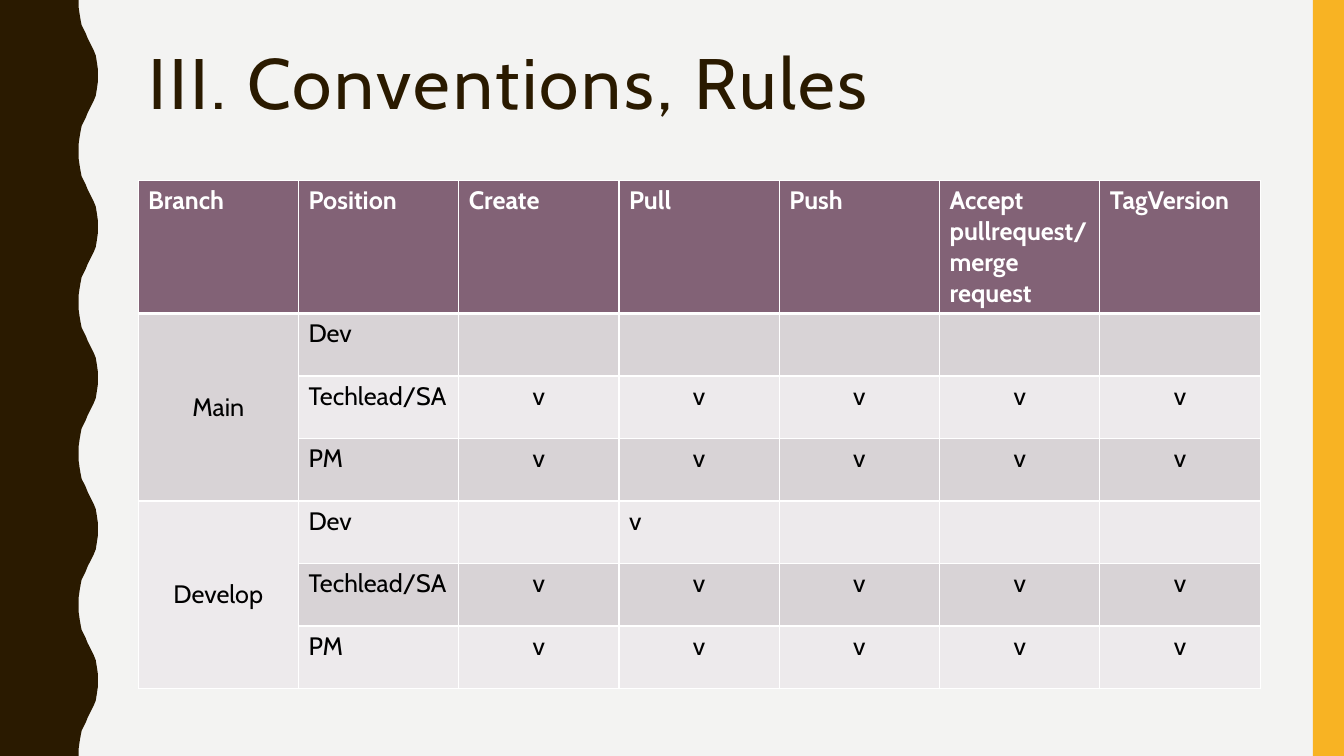
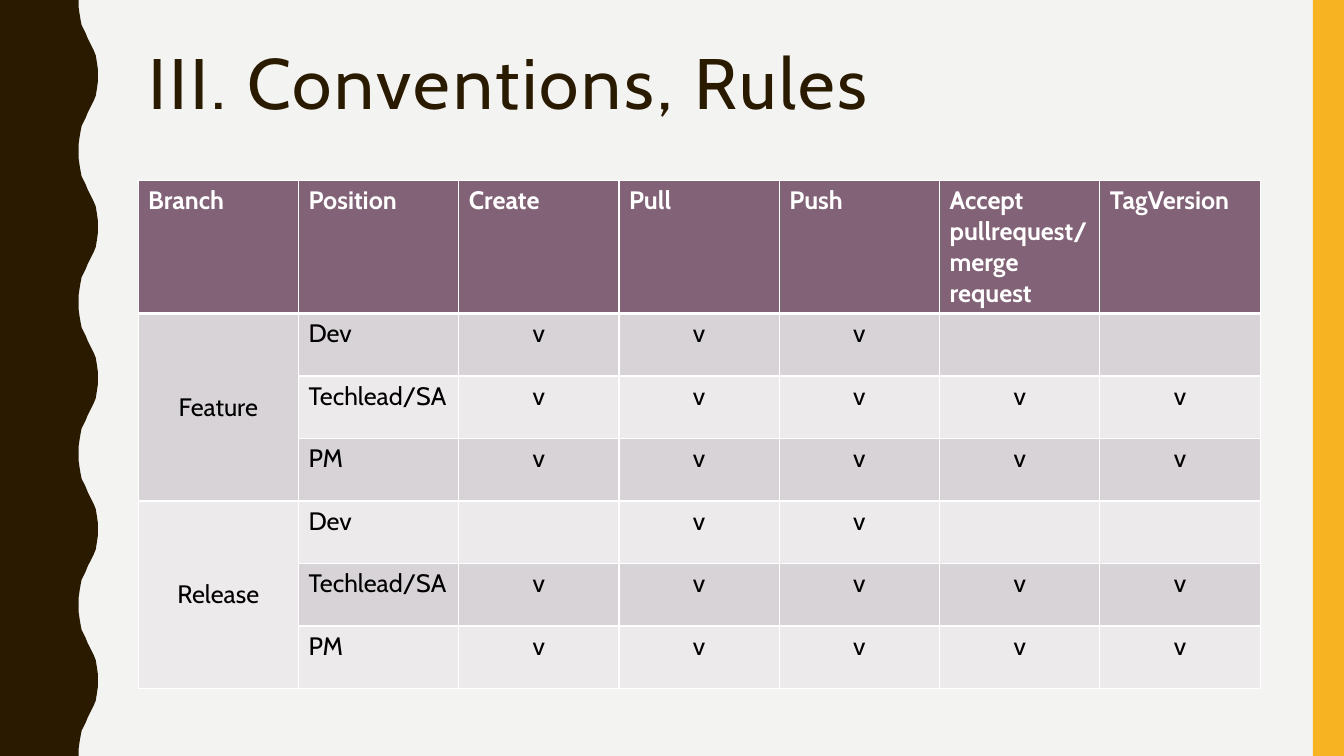
from lxml import etree
from pptx import Presentation, util as u
from pptx.dml.color import RGBColor
from pptx.enum import shapes, text
from pptx.oxml import ns

COLORS = {
    "background": "F3F3F2",
    "dark": "2A1A00",
    "accent": "F8B323",
    "header": "826276",
    "band_dark": "D8D3D6",
    "band_light": "EDEAEC",
    "white": "FFFFFF",
    "black": "000000",
}
FONT = "Cabin"
SLIDE_WIDTH, SLIDE_HEIGHT = 13.33, 7.5
CONTENT_LEFT, CONTENT_WIDTH = 1.37, 11.13
WAVE_PERIOD = 1.5
# Half a period of the wavy edge, from its trough to its crest.
HALF_WAVE = [
    (0.78, 0), (0.78, 0.07), (0.79, 0.14), (0.8, 0.2), (0.81, 0.25),
    (0.83, 0.29), (0.85, 0.33), (0.87, 0.38), (0.89, 0.42), (0.91, 0.46),
    (0.93, 0.5), (0.95, 0.55), (0.96, 0.61), (0.97, 0.68), (0.97, 0.75),
]

TITLE = "III. Conventions, Rules"
HEADERS = ["Branch", "Position", "Create", "Pull", "Push",
           "Accept pullrequest/merge request", "TagVersion"]
POSITIONS = ["Dev", "Techlead/SA", "PM"]
HEADER_HEIGHT, ROW_HEIGHT = 1.3, 0.62
# One string per position: "v" is a centred mark, "<" a left-aligned one.
SLIDES = [
    {"Main": ["-----", "vvvvv", "vvvvv"],
     "Develop": ["-<---", "vvvvv", "vvvvv"]},
    {"Feature": ["vvv--", "vvvvv", "vvvvv"],
     "Release": ["-vv--", "vvvvv", "vvvvv"]},
]


def rgb(name):
    return RGBColor.from_string(COLORS[name])


def write_text(text_frame, content, size=18, color="black", bold=False,
               align=text.PP_ALIGN.LEFT, line_spacing=None, spacing=None):
    """Fill a frame with one formatted run; spacing is tracking in points."""
    paragraph = text_frame.paragraphs[0]
    paragraph.alignment = align
    paragraph.line_spacing = line_spacing
    run = paragraph.add_run()
    run.text = content
    run.font.name = FONT
    run.font.size = u.Pt(size)
    run.font.bold = bold
    run.font.color.rgb = rgb(color)
    if spacing:
        run.font._element.set("spc", str(spacing * 100))


def paint(shape, color):
    shape.shadow.inherit = False
    shape.fill.solid()
    shape.fill.fore_color.rgb = rgb(color)
    shape.line.fill.background()


def add_wavy_band(slide):
    edge = []
    for wave in range(round(SLIDE_HEIGHT / WAVE_PERIOD)):
        top = wave * WAVE_PERIOD
        edge += [(x, top + y) for x, y in HALF_WAVE]
        edge += [(x, top + WAVE_PERIOD - y) for x, y in reversed(HALF_WAVE)]
    outline = edge + [(0, SLIDE_HEIGHT)]
    builder = slide.shapes.build_freeform(0, 0)
    builder.add_line_segments([(u.Inches(x), u.Inches(y)) for x, y in outline])
    band = builder.convert_to_shape()
    paint(band, "dark")
    return band


def add_side_bar(slide):
    width = 0.31
    bar = slide.shapes.add_shape(
        shapes.MSO_SHAPE.RECTANGLE, u.Inches(SLIDE_WIDTH - width), 0,
        u.Inches(width), u.Inches(SLIDE_HEIGHT))
    paint(bar, "accent")
    return bar


def style_layout(layout):
    layout.background.fill.solid()
    layout.background.fill.fore_color.rgb = rgb("background")
    for placeholder in list(layout.placeholders):
        if placeholder.placeholder_format.type == shapes.PP_PLACEHOLDER.TITLE:
            placeholder.left, placeholder.top = u.Inches(CONTENT_LEFT), u.Inches(0.42)
            placeholder.width, placeholder.height = u.Inches(CONTENT_WIDTH), u.Inches(0.9)
            placeholder.text_frame.vertical_anchor = text.MSO_ANCHOR.TOP
            placeholder.text_frame.auto_size = text.MSO_AUTO_SIZE.NONE
        else:
            layout.shapes.element.remove(placeholder.element)


def move_to_layout(layout, decorations):
    """Put shapes drawn on a slide behind the placeholders of its layout."""
    for index, shape in enumerate(decorations):
        layout.shapes.element.insert(2 + index, shape.element)


def set_borders(cell, **widths):
    """Draw white borders; L, R, T and B override the 1 pt default."""
    properties = cell._tc.get_or_add_tcPr()
    for side in "LRTB":
        line = etree.SubElement(properties, ns.qn(f"a:ln{side}"),
                                w=str(u.Pt(widths.get(side, 1))))
        fill = etree.SubElement(line, ns.qn("a:solidFill"))
        etree.SubElement(fill, ns.qn("a:srgbClr"), val=COLORS["white"])


def format_cell(cell, color, **widths):
    set_borders(cell, **widths)
    cell.fill.solid()
    cell.fill.fore_color.rgb = rgb(color)


def fill_permission_row(table, row, position, marks):
    color = "band_dark" if row % 2 else "band_light"
    for column in range(len(HEADERS)):
        format_cell(table.cell(row, column), color, T=3 if row == 1 else 1)
    write_text(table.cell(row, 1).text_frame, position)
    for column, mark in enumerate(marks, start=2):
        if mark != "-":
            align = text.PP_ALIGN.LEFT if mark == "<" else text.PP_ALIGN.CENTER
            write_text(table.cell(row, column).text_frame, "v", align=align)


def add_permission_table(slide, branches):
    row_count = len(branches) * len(POSITIONS)
    table = slide.shapes.add_table(
        row_count + 1, len(HEADERS), u.Inches(CONTENT_LEFT), u.Inches(1.79),
        u.Inches(CONTENT_WIDTH),
        u.Inches(HEADER_HEIGHT + row_count * ROW_HEIGHT)).table
    for row in table.rows:
        row.height = u.Inches(ROW_HEIGHT)
    table.rows[0].height = u.Inches(HEADER_HEIGHT)

    for column, header in enumerate(HEADERS):
        cell = table.cell(0, column)
        format_cell(cell, "header", B=3)
        write_text(cell.text_frame, header, color="white", bold=True)

    for index, (branch, permissions) in enumerate(branches.items()):
        first = 1 + index * len(POSITIONS)
        for offset, position in enumerate(POSITIONS):
            fill_permission_row(table, first + offset, position, permissions[offset])
        cell = table.cell(first, 0)
        cell.merge(table.cell(first + len(POSITIONS) - 1, 0))
        cell.vertical_anchor = text.MSO_ANCHOR.MIDDLE
        write_text(cell.text_frame, branch, align=text.PP_ALIGN.CENTER)


def main():
    presentation = Presentation()
    presentation.slide_width = u.Inches(SLIDE_WIDTH)
    presentation.slide_height = u.Inches(SLIDE_HEIGHT)
    layout = presentation.slide_layouts.get_by_name("Title Only")
    style_layout(layout)
    for number, branches in enumerate(SLIDES):
        slide = presentation.slides.add_slide(layout)
        if number == 0:
            move_to_layout(layout, [add_wavy_band(slide), add_side_bar(slide)])
        write_text(slide.shapes.title.text_frame, TITLE, size=51, color="dark",
                   line_spacing=0.9, spacing=2)
        add_permission_table(slide, branches)
    presentation.save("out.pptx")


if __name__ == "__main__":
    main()
